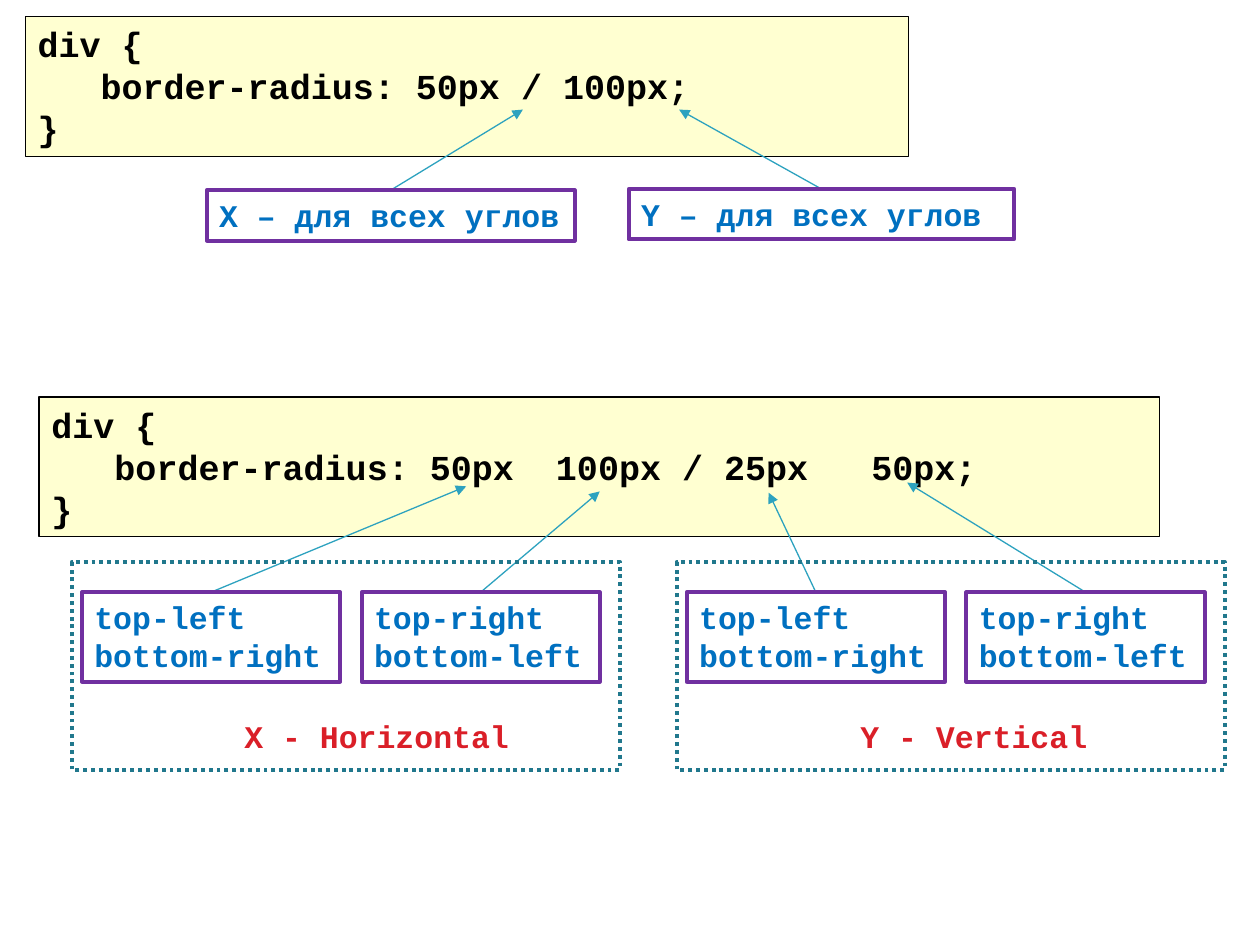
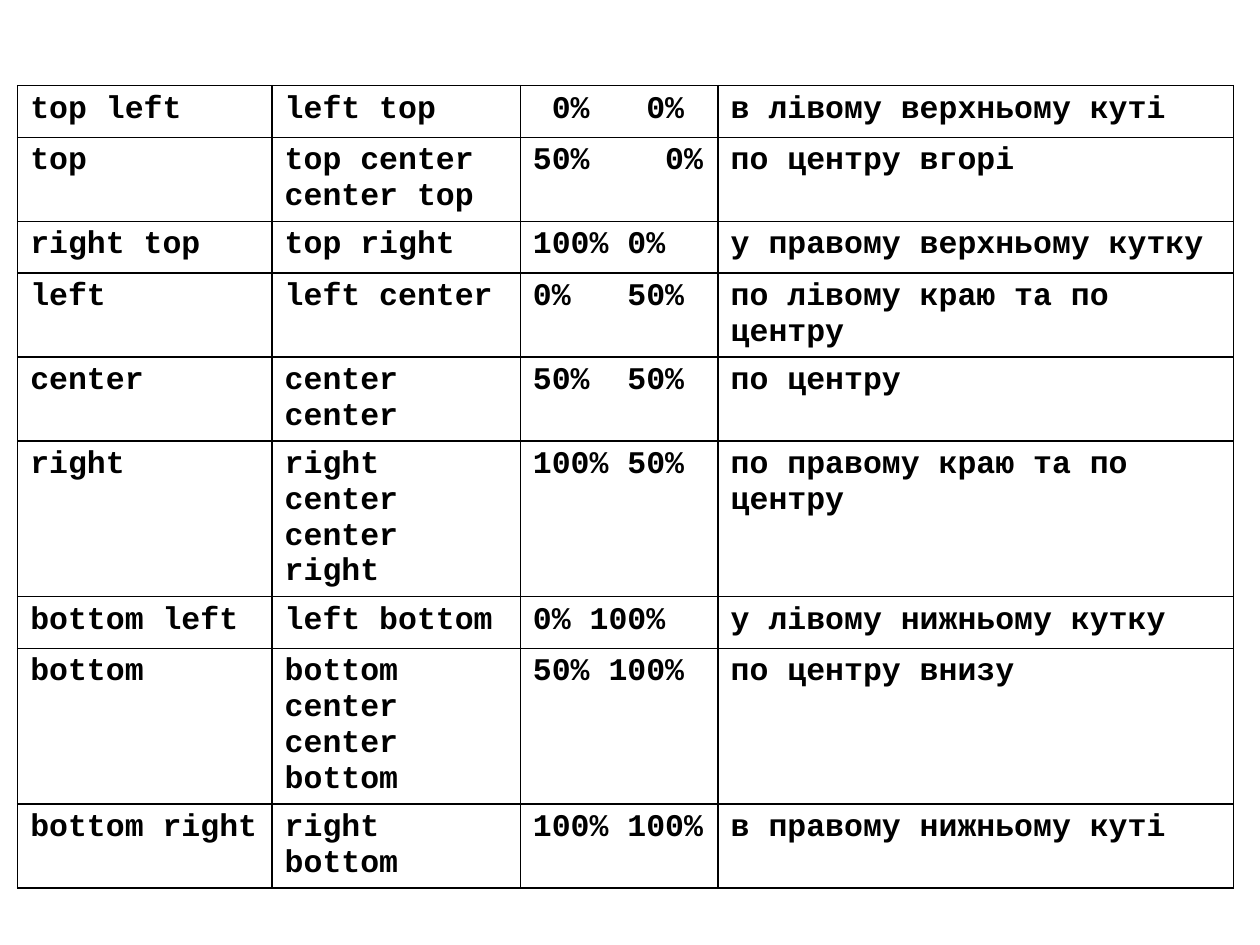
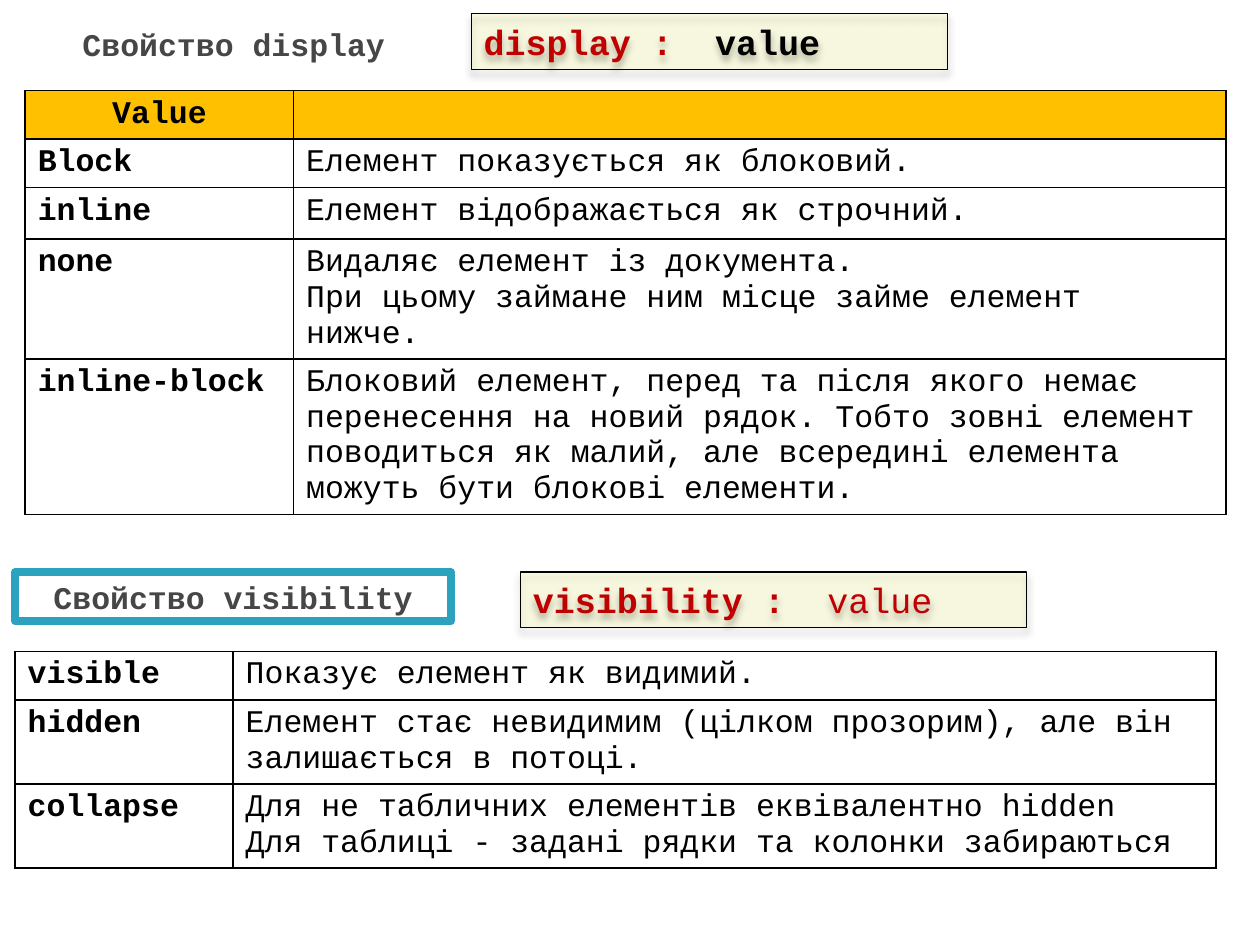
from dataclasses import dataclass
from typing import Optional

from lxml import etree
from pptx import Presentation
from pptx import util as u
from pptx.dml.color import RGBColor
from pptx.enum import dml, shapes, text
from pptx.oxml.ns import qn

COLORS = {
    "ink": "000000", "paper": "FFFFFF", "yellow": "FFFF00", "header": "FFC000",
    "violet": "7030A0", "blue": "0070C0", "teal": "2DA2BF", "deep_teal": "21788D",
    "red": "DA1F28", "dark_red": "C00000", "gray": "464646",
}
FONT = "Courier New"
GRID_COLUMNS = 100
SLIDE_WIDTH, SLIDE_HEIGHT = u.Inches(10), u.Inches(7.5)
TITLE_ONLY, BLANK = 5, 6


@dataclass(frozen=True)
class Area:
    """Place on a square grid, 100 columns by 75 rows."""
    left: float
    top: float
    width: float
    height: float

    def lengths(self) -> list[int]:
        return [grid(n) for n in (self.left, self.top, self.width, self.height)]


@dataclass(frozen=True)
class Span:
    text: str
    color: str
    bold: bool = True


@dataclass(frozen=True)
class Style:
    color: str = "ink"
    size: int = 18
    bold: bool = True
    centered: bool = False


@dataclass(frozen=True)
class Outline:
    color: str
    width: float
    dash: Optional[dml.MSO_LINE] = None


@dataclass(frozen=True)
class Callout:
    area: Area
    lines: str
    target: tuple[float, float]


@dataclass(frozen=True)
class Axis:
    left: float
    label: str
    label_left: float
    label_width: float
    targets: tuple[tuple[float, float], tuple[float, float]]


@dataclass(frozen=True)
class Grid:
    area: Area
    columns: tuple[float, ...]
    row_heights: tuple[float, ...]
    rows: tuple[tuple[str, ...], ...]
    has_header: bool = False
    all_bold: bool = False


CODE = Style(size=20)
CALLOUT = Style("blue")
HEADING = Style("gray", centered=True)
THIN = Outline("ink", 0.75)
FRAME = Outline("violet", 2.25)
DOTTED = Outline("deep_teal", 2.25, dml.MSO_LINE.ROUND_DOT)
THICK = Outline("teal", 4.33)

CODE_BLOCKS = (
    (Area(2, 1.3, 70.1, 11.1), "div {\n\tborder-radius: 50px / 100px;\n}"),
    (Area(3.1, 31.5, 88.9, 11.1),
     "div {\n   border-radius: 50px  100px / 25px   50px;\n}"),
)
ALL_CORNERS = (
    Callout(Area(16.4, 15.1, 29.2, 4), "X – для всех углов", (41.5, 8.7)),
    Callout(Area(49.9, 15, 30.6, 4), "Y – для всех углов", (53.9, 8.7)),
)
AXES = (
    Axis(5.7, "X - Horizontal", 18.4, 23.1, ((37, 38.6), (47.6, 39))),
    Axis(53.7, "Y - Vertical", 67.3, 20.1, ((61, 39.1), (72, 38.3))),
)
POSITIONS = Grid(
    Area(1.4, 6.8, 96.6, 66.2), (20.2, 19.7, 15.7, 40.9), (4.1,) * 9,
    (
        ("top left", "left top", " 0%   0%", "в лівому верхньому куті"),
        ("top", "top center\ncenter top", "50%    0%", "по центру вгорі"),
        ("right top", "top right", "100% 0%", "у правому верхньому кутку"),
        ("left", "left center", "0%   50%", "по лівому краю та по центру"),
        ("center", "center center", "50%  50%", "по центру"),
        ("right", "right center\ncenter right", "100% 50%",
         "по правому краю та по центру"),
        ("bottom left", "left bottom", "0% 100%", "у лівому нижньому кутку"),
        ("bottom", "bottom center\ncenter bottom", "50% 100%", "по центру внизу"),
        ("bottom right", "right bottom", "100% 100%", "в правому нижньому куті"),
    ), all_bold=True)
DISPLAY_VALUES = Grid(
    Area(2, 7.2, 95.3, 32.1), (21.3, 74), (1.6, 1.6, 4.1, 4.5, 4.1),
    (
        ("Value", ""),
        ("Block", "Елемент показується як блоковий."),
        ("inline", "Елемент відображається як строчний."),
        ("none", "Видаляє елемент із документа.\n"
                 "При цьому займане ним місце займе елемент нижче."),
        ("inline-block", "Блоковий елемент, перед та після якого немає перенесення "
                         "на новий рядок. Тобто зовні елемент поводиться як малий, "
                         "але всередині елемента можуть бути блокові елементи."),
    ), has_header=True)
VISIBILITY_VALUES = Grid(
    Area(1.2, 51.7, 95.3, 18), (17.3, 78), (1.6, 4.1, 4.5),
    (
        ("visible", "Показує елемент як видимий."),
        ("hidden", "Елемент стає невидимим (цілком прозорим), "
                   "але він залишається в потоці."),
        ("collapse", "Для не табличних елементів еквівалентно hidden\n"
                     "Для таблиці - задані рядки та колонки забираються"),
    ))


def grid(count: float) -> int:
    return round(SLIDE_WIDTH * count / GRID_COLUMNS)


def rgb(name: str) -> RGBColor:
    return RGBColor.from_string(COLORS[name])


def add_node(parent, tag: str, **attributes: object):
    names = {key: str(value) for key, value in attributes.items()}
    return etree.SubElement(parent, qn(tag), names)


def set_font(font, size: int, color: str, bold: bool) -> None:
    font.name, font.size, font.bold = FONT, u.Pt(size), bold
    font.color.rgb = rgb(color)


def write(frame, lines: str, style: Style) -> None:
    for index, line in enumerate(lines.split("\n")):
        para = frame.add_paragraph() if index else frame.paragraphs[0]
        if line:
            para.add_run().text = line
        para.alignment = text.PP_ALIGN.CENTER if style.centered else text.PP_ALIGN.LEFT
        set_font(para.font, style.size, style.color, style.bold)


def add_box(page, area: Area, outline: Outline, fill: Optional[str] = None,
            opacity: int = 100):
    box = page.shapes.add_shape(shapes.MSO_SHAPE.RECTANGLE, *area.lengths())
    box.shadow.inherit = False
    if fill:
        box.fill.solid()
        box.fill.fore_color.rgb = rgb(fill)
        if opacity < 100:
            tint = box.element.spPr.find(".//" + qn("a:srgbClr"))
            add_node(tint, "a:alpha", val=opacity * 1000)
    else:
        box.fill.background()
    box.line.color.rgb = rgb(outline.color)
    box.line.width = u.Pt(outline.width)
    if outline.dash:
        box.line.dash_style = outline.dash
    box.text_frame.vertical_anchor = text.MSO_ANCHOR.TOP
    return box


def add_growing_text(box, lines: str, style: Style) -> None:
    box.text_frame.auto_size = text.MSO_AUTO_SIZE.SHAPE_TO_FIT_TEXT
    write(box.text_frame, lines, style)


def add_arrow(page, start: tuple[float, float], end: tuple[float, float]) -> None:
    arrow = page.shapes.add_connector(
        shapes.MSO_CONNECTOR.STRAIGHT, *(grid(n) for n in start + end))
    arrow.line.color.rgb = rgb("teal")
    arrow.line.width = u.Pt(0.75)
    add_node(arrow.line._get_or_add_ln(), "a:tailEnd", type="triangle")
    add_node(arrow.element.spPr, "a:effectLst")


def add_callout(page, callout: Callout) -> None:
    """Draw a framed note with an arrow from its top centre to its target."""
    area = callout.area
    add_arrow(page, (area.left + area.width / 2, area.top), callout.target)
    add_growing_text(add_box(page, area, FRAME), callout.lines, CALLOUT)


def add_axis(page, axis: Axis) -> None:
    """Draw a dotted group of two corner callouts with the axis name below."""
    corners = ((0.8, 20.5, "top-left\nbottom-right"),
               (23, 18.9, "top-right\nbottom-left"))
    for (offset, width, lines), target in zip(corners, axis.targets):
        area = Area(axis.left + offset, 47, width, 7.1)
        add_callout(page, Callout(area, lines, target))
    add_box(page, Area(axis.left, 44.6, 43.5, 16.5), DOTTED)
    label = page.shapes.add_textbox(
        *Area(axis.label_left, 56.4, axis.label_width, 4).lengths())
    label.text_frame.word_wrap = False
    add_growing_text(label, axis.label, Style("red"))


def add_declaration(page, area: Area, spans: tuple[Span, ...]) -> None:
    """Draw a shadowed box holding one property and its value."""
    box = add_box(page, area, THIN, "yellow", 9)
    effects = box.element.spPr.find(qn("a:effectLst"))
    shadow = add_node(effects, "a:outerShdw", blurRad=u.Pt(4), dist=u.Pt(3),
                      dir=90 * 60000, algn="t", rotWithShape=0)
    add_node(add_node(shadow, "a:srgbClr", val=COLORS["ink"]), "a:alpha", val=35000)
    para = box.text_frame.paragraphs[0]
    para.alignment = text.PP_ALIGN.LEFT
    for span in spans:
        run = para.add_run()
        run.text = span.text
        set_font(run.font, 20, span.color, span.bold)


def set_borders(cell) -> None:
    properties = cell._tc.get_or_add_tcPr()
    for side in ("a:lnL", "a:lnR", "a:lnT", "a:lnB"):
        line = add_node(properties, side, w=u.Pt(1))
        add_node(add_node(line, "a:solidFill"), "a:srgbClr", val=COLORS["ink"])


def add_grid(page, content: Grid) -> None:
    frame = page.shapes.add_table(
        len(content.rows), len(content.columns), *content.area.lengths())
    table = frame.table
    table.first_row = table.horz_banding = False
    for column, width in zip(table.columns, content.columns):
        column.width = grid(width)
    for row, height in zip(table.rows, content.row_heights):
        row.height = grid(height)
    frame.height = grid(content.area.height)
    for row, values in enumerate(content.rows):
        is_header = content.has_header and row == 0
        for column, value in enumerate(values):
            cell = table.cell(row, column)
            set_borders(cell)
            if is_header:
                cell.fill.solid()
                cell.fill.fore_color.rgb = rgb("header")
            else:
                cell.fill.background()
            bold = content.all_bold or is_header or column == 0
            write(cell.text_frame, value, Style(bold=bold, centered=is_header))


def build_radius_page(page) -> None:
    for area, code in CODE_BLOCKS:
        add_growing_text(add_box(page, area, THIN, "yellow", 18), code, CODE)
    for callout in ALL_CORNERS:
        add_callout(page, callout)
    for axis in AXES:
        add_axis(page, axis)


def build_display_page(page) -> None:
    title = page.shapes.title
    title.left, title.top, title.width, title.height = Area(2, 1.3, 33.1, 4.4).lengths()
    title.text_frame.vertical_anchor = text.MSO_ANCHOR.MIDDLE
    title.text_frame.auto_size = text.MSO_AUTO_SIZE.NONE
    write(title.text_frame, "Свойство display", HEADING)
    add_declaration(page, Area(37.4, 1.1, 37.8, 4.4),
                    (Span("display :  ", "dark_red"), Span("value", "ink")))
    add_grid(page, DISPLAY_VALUES)

    heading = add_box(page, Area(1.2, 45.4, 34.6, 3.9), THICK, "paper")
    heading.text_frame.vertical_anchor = text.MSO_ANCHOR.MIDDLE
    write(heading.text_frame, "Свойство visibility", HEADING)
    add_declaration(page, Area(41.3, 45.4, 40.2, 4.4),
                    (Span("visibility :  ", "dark_red"), Span("value", "dark_red", False)))
    add_grid(page, VISIBILITY_VALUES)


def main() -> None:
    deck = Presentation()
    deck.slide_width, deck.slide_height = SLIDE_WIDTH, SLIDE_HEIGHT
    blank, title_only = deck.slide_layouts[BLANK], deck.slide_layouts[TITLE_ONLY]
    build_radius_page(deck.slides.add_slide(blank))
    add_grid(deck.slides.add_slide(blank), POSITIONS)
    build_display_page(deck.slides.add_slide(title_only))
    deck.save("out.pptx")


if __name__ == "__main__":
    main()
